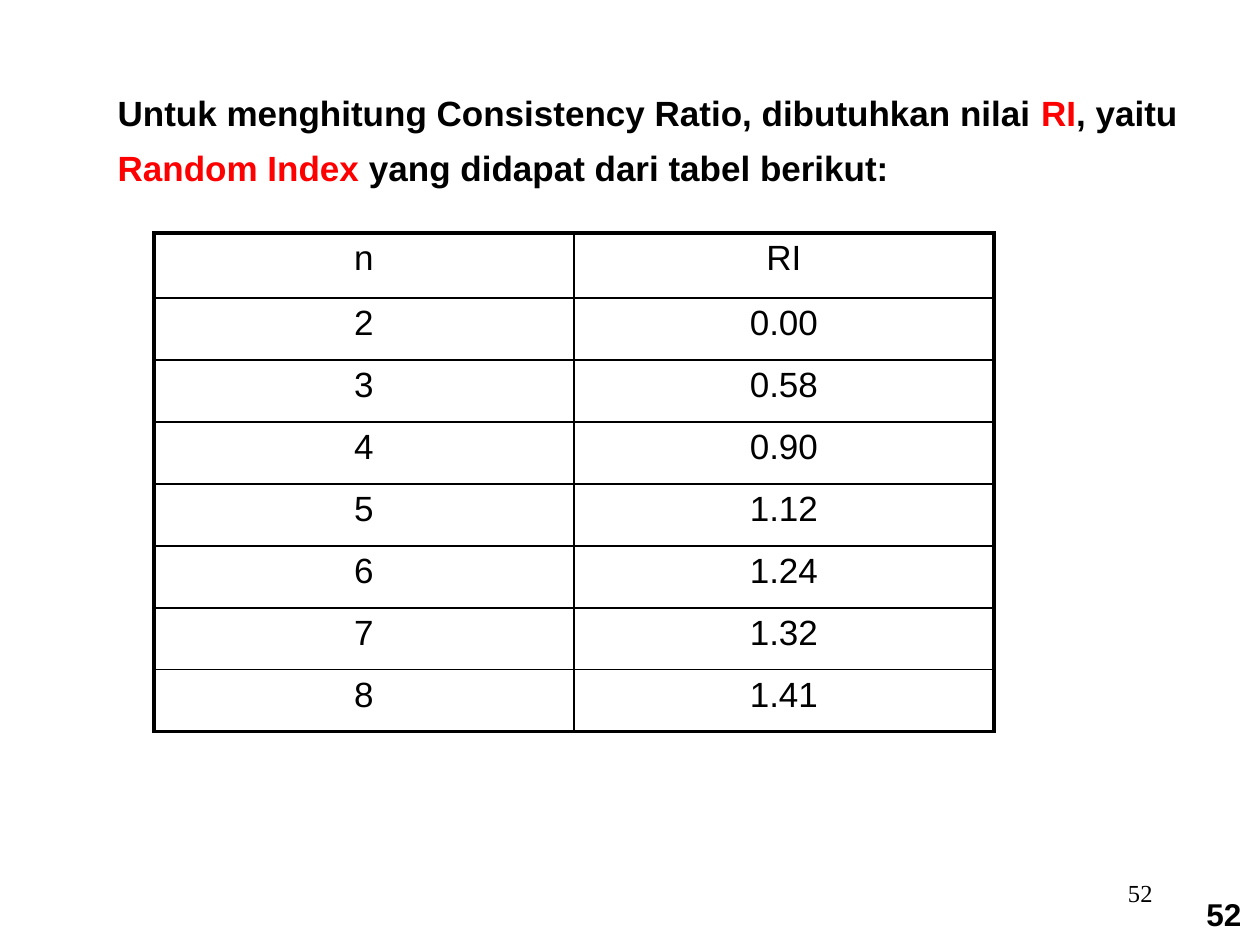
from lxml import etree
from pptx import Presentation, util as u
from pptx.dml.color import RGBColor
from pptx.enum import text
from pptx.oxml.ns import qn

BLACK, RED, WHITE = "000000", "FF0000", "FFFFFF"
THICK, THIN = 2.25, 1
ROWS = [("n", "RI"), ("2", "0.00"), ("3", "0.58"), ("4", "0.90"),
        ("5", "1.12"), ("6", "1.24"), ("7", "1.32"), ("8", "1.41")]
INTRO = [("Untuk menghitung Consistency Ratio, dibutuhkan nilai ", BLACK),
         ("RI", RED), (", yaitu ", BLACK), ("Random Index ", RED),
         ("yang didapat dari tabel berikut:", BLACK)]


def px(n):
    return u.Emu(round(n * 914400 / 126))


def rgb(code):
    return RGBColor.from_string(code)


def style(run, size, color=BLACK, bold=False, name="Arial"):
    font = run.font
    font.size, font.bold, font.name = u.Pt(size), bold, name
    font.color.rgb = rgb(color)


def place(shape, box):
    shape.left, shape.top, shape.width, shape.height = map(px, box)


def add_intro(slide, box):
    title = slide.shapes.title
    place(title, box)
    frame = title.text_frame
    frame.word_wrap = True
    frame.auto_size = text.MSO_AUTO_SIZE.NONE
    frame.vertical_anchor = text.MSO_ANCHOR.TOP
    para = frame.paragraphs[0]
    para.alignment = text.PP_ALIGN.LEFT
    para.line_spacing = 1.3
    para.space_before = u.Pt(10)
    for words, color in INTRO:
        run = para.add_run()
        run.text = words
        style(run, 20, color, True)


def set_edges(cell, widths):
    """Draw the cell's left, right, top and bottom borders, in points."""
    props = cell._tc.get_or_add_tcPr()
    for i, (side, width) in enumerate(zip("LRTB", widths)):
        line = etree.Element(qn(f"a:ln{side}"), w=str(u.Pt(width)))
        fill = etree.SubElement(line, qn("a:solidFill"))
        etree.SubElement(fill, qn("a:srgbClr"), val=BLACK)
        props.insert(i, line)


def add_index(slide, box, head):
    """Add the Random Index table, whose first row is head px high."""
    count, wide = len(ROWS), len(ROWS[0])
    table = slide.shapes.add_table(count, wide, *map(px, box)).table
    table.first_row = table.horz_banding = False
    for col in table.columns:
        col.width = px(box[2] // wide)
    for r, values in enumerate(ROWS):
        table.rows[r].height = px(head if r == 0 else (box[3] - head) // (count - 1))
        for c, value in enumerate(values):
            cell = table.cell(r, c)
            cell.fill.solid()
            cell.fill.fore_color.rgb = rgb(WHITE)
            cell.text_frame.text = value
            para = cell.text_frame.paragraphs[0]
            para.alignment = text.PP_ALIGN.CENTER
            para.space_before = u.Pt(4)
            style(para.runs[0], 20)
            outer = c == 0, c == wide - 1, r == 0, r == count - 1
            set_edges(cell, [THICK if edge else THIN for edge in outer])


def add_number(slide, box, align, anchor, **look):
    shape = slide.shapes.add_textbox(*map(px, box))
    frame = shape.text_frame
    frame.text = "52"
    frame.word_wrap = False
    frame.vertical_anchor = anchor
    para = frame.paragraphs[0]
    para.alignment = align
    style(para.runs[0], **look)


def main():
    deck = Presentation()
    deck.slide_width, deck.slide_height = px(1260), px(945)
    slide = deck.slides.add_slide(deck.slide_layouts[5])
    add_number(slide, (1194, 889, 64, 51), text.PP_ALIGN.LEFT,
               text.MSO_ANCHOR.TOP, size=18, bold=True)
    add_number(slide, (903, 861, 262, 63), text.PP_ALIGN.RIGHT,
               text.MSO_ANCHOR.MIDDLE, size=14, name="Times New Roman")
    add_intro(slide, (105, 73, 1099, 123))
    add_index(slide, (154, 233, 840, 499), 65)
    deck.save("out.pptx")


if __name__ == "__main__":
    main()
